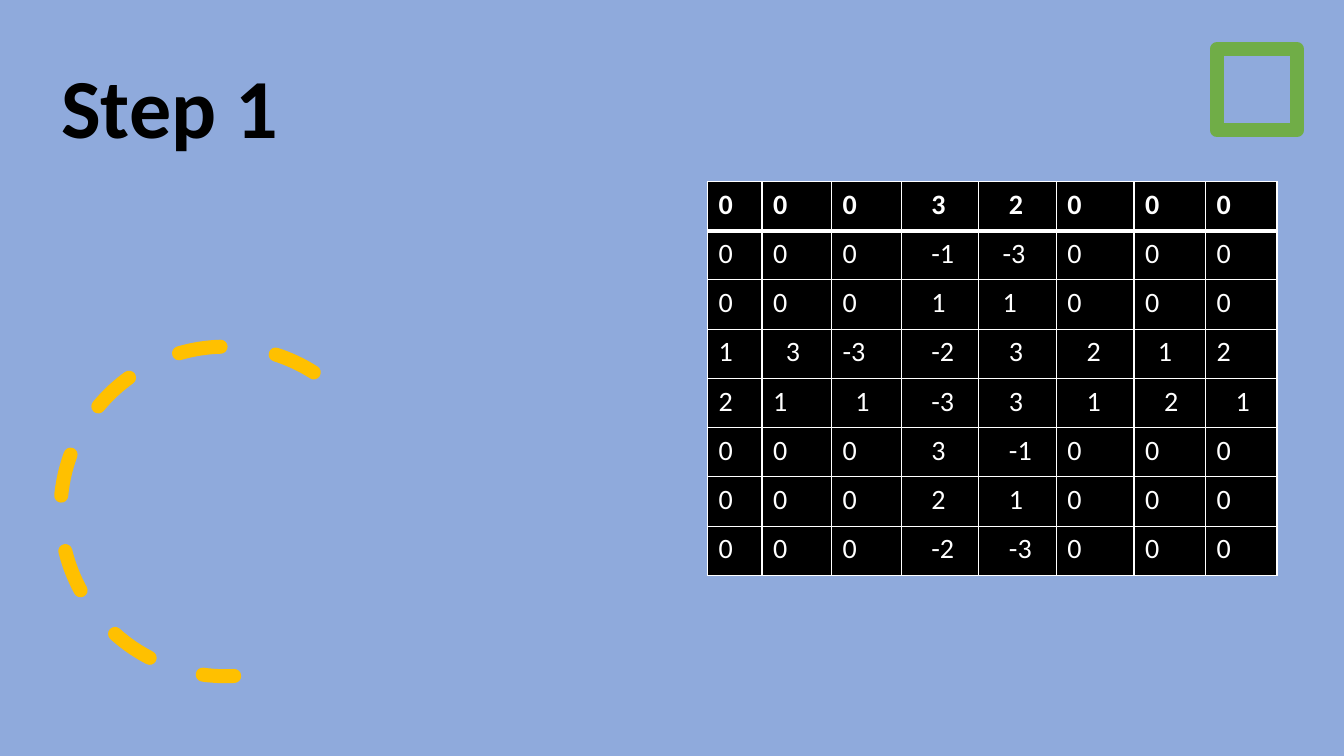
from dataclasses import dataclass

from lxml.etree import SubElement as Sub
from pptx import Presentation
from pptx.dml.color import RGBColor as Rgb
from pptx.enum.dml import MSO_LINE_DASH_STYLE as Dash
from pptx.enum.shapes import MSO_SHAPE as Kind
from pptx.enum.text import MSO_ANCHOR as Anchor
from pptx.oxml.ns import qn
from pptx.shapes.autoshape import Shape
from pptx.slide import Slide
from pptx.table import _Cell as Cell
from pptx.util import Inches, Pt

HEX = {"sky": "8FAADC", "gold": "FFC000", "green": "70AD47",
       "black": "000000", "white": "FFFFFF"}
FONT = "Calibri"
WIDE, HIGH = Inches(13.33), Inches(7.5)
COLS = 40            # square grid over the slide's width
SPACE = 0.19         # one step of number indent, in grid columns


def unit(n: float) -> int:
    """Turn grid columns or rows into a length."""
    return round(n * WIDE / COLS)


def tint(name: str) -> Rgb:
    return Rgb.from_string(HEX[name])


@dataclass
class Box:
    x: float
    y: float
    w: float
    h: float

    def area(self) -> tuple[int, ...]:
        return tuple(unit(n) for n in (self.x, self.y, self.w, self.h))


@dataclass
class Deco:
    kind: Kind
    box: Box
    color: str


@dataclass
class Row:
    """Numbers of one table row, with the indent steps of each."""
    nums: str
    steps: str = "00033000"


ARC = Deco(Kind.ARC, Box(1.8, 10.32, 9.81, 9.81), "gold")
FRAME = Deco(Kind.RECTANGLE, Box(36.21, 1.47, 2.4, 2.4), "green")
TITLE = Box(1.53, 1.2, 14.82, 3.6)
TABLE = Box(21.06, 5.4, 16.95, 11.73)
WIDTHS = [1.62, 2.07, 2.07, 2.31, 2.31, 2.31, 2.13, 2.13]
ROWS = [
    Row("0 0 0 3 2 0 0 0"),
    Row("0 0 0 -1 -3 0 0 0", "00032000"),
    Row("0 0 0 1 1 0 0 0", "00032000"),
    Row("1 3 -3 -2 3 2 1 2", "02033320"),
    Row("2 1 1 -3 3 1 2 1", "00233333"),
    Row("0 0 0 3 -1 0 0 0"),
    Row("0 0 0 2 1 0 0 0"),
    Row("0 0 0 -2 -3 0 0 0"),
]


def draw(slide: Slide, deco: Deco) -> Shape:
    """Add an unfilled shape with a thick, rounded outline."""
    shape = slide.shapes.add_shape(deco.kind, *deco.box.area())
    shape.shadow.inherit = False
    shape.fill.background()
    shape.line.color.rgb = tint(deco.color)
    shape.line.width = Pt(10)
    line = shape.line._get_or_add_ln()
    line.set("cap", "rnd")
    Sub(line, qn("a:round"))
    return shape


def add_arc(slide: Slide) -> None:
    arc = draw(slide, ARC)
    arc.line.dash_style = Dash.DASH
    arc.rotation = 266.9
    arc.adjustments[0] = 144.42 * 0.6
    arc.adjustments[1] = 0
    arc._element.spPr.find(qn("a:xfrm")).set("flipH", "1")


def add_title(slide: Slide) -> None:
    frame = slide.shapes.add_textbox(*TITLE.area()).text_frame
    frame.word_wrap = True
    frame.vertical_anchor = Anchor.BOTTOM
    frame.text = "Step 1"
    para = frame.paragraphs[0]
    para.line_spacing = 0.9
    para.space_after = Pt(6)
    font = para.runs[0].font
    font.name, font.size, font.bold = FONT, Pt(60), True
    font.color.rgb = tint("black")


def edge(cell: Cell, row: int) -> None:
    """Rule the cell in white, thicker under the header."""
    heavy = {(0, "B"), (1, "T")}
    props = cell._tc.get_or_add_tcPr()
    for side in "LRTB":
        width = Pt(3 if (row, side) in heavy else 1)
        line = Sub(props, qn(f"a:ln{side}"), w=str(width))
        fill = Sub(line, qn("a:solidFill"))
        Sub(fill, qn("a:srgbClr"), val=HEX["white"])


def set_cell(cell: Cell, text: str, steps: int, row: int) -> None:
    edge(cell, row)
    cell.fill.solid()
    cell.fill.fore_color.rgb = tint("black")
    cell.margin_left = cell.margin_right = unit(0.33)
    cell.margin_top = cell.margin_bottom = unit(0.18)
    cell.text_frame.text = text
    para = cell.text_frame.paragraphs[0]
    para._p.get_or_add_pPr().set("marL", str(unit(steps * SPACE)))
    font = para.runs[0].font
    font.name, font.size, font.bold = FONT, Pt(20), row == 0
    font.color.rgb = tint("white")


def add_grid(slide: Slide) -> None:
    table = slide.shapes.add_table(len(ROWS), len(WIDTHS), *TABLE.area()).table
    table.horz_banding = False
    for col, width in zip(table.columns, WIDTHS):
        col.width = unit(width)
    for r, row in enumerate(ROWS):
        table.rows[r].height = unit(TABLE.h / len(ROWS))
        for c, (num, step) in enumerate(zip(row.nums.split(), row.steps)):
            set_cell(table.cell(r, c), num, int(step), r)


def main() -> None:
    deck = Presentation()
    deck.slide_width, deck.slide_height = WIDE, HIGH
    slide = deck.slides.add_slide(deck.slide_layouts[6])
    slide.background.fill.solid()
    slide.background.fill.fore_color.rgb = tint("sky")
    add_arc(slide)
    add_title(slide)
    draw(slide, FRAME)
    add_grid(slide)
    deck.save("out.pptx")


if __name__ == "__main__":
    main()
